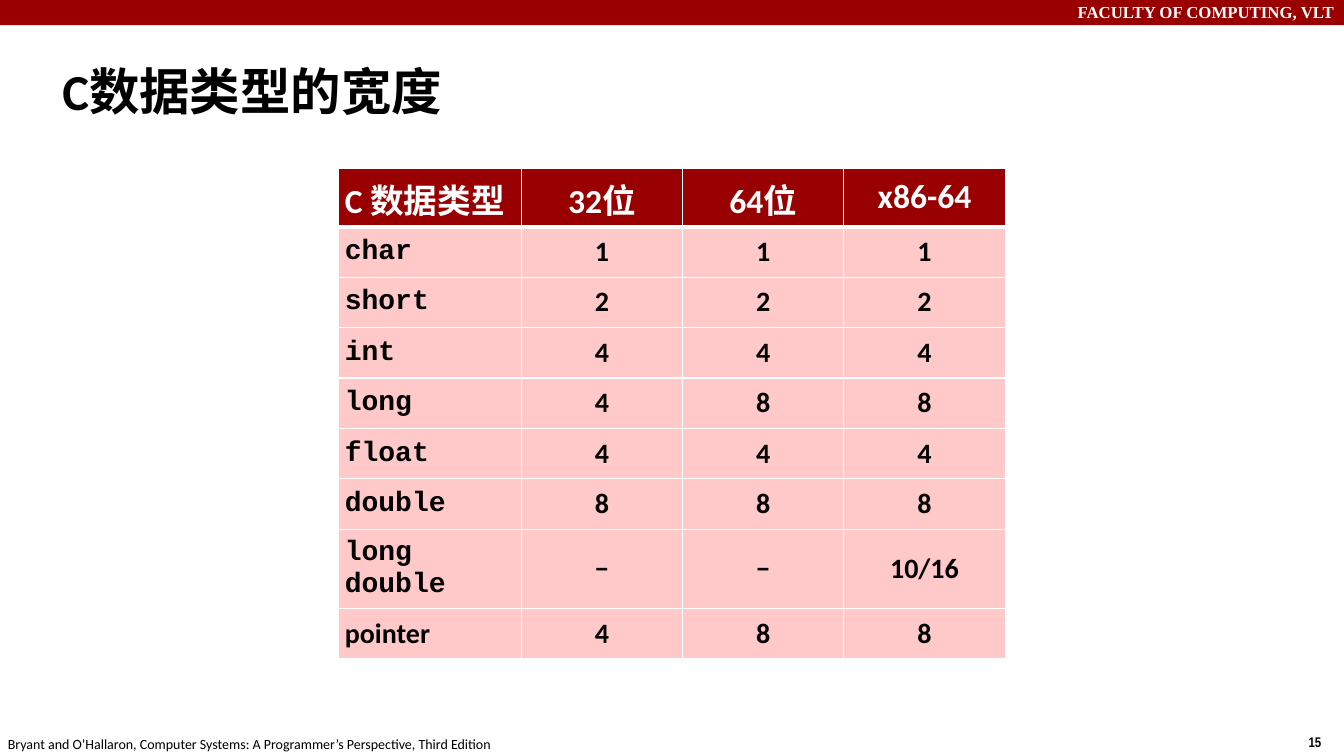
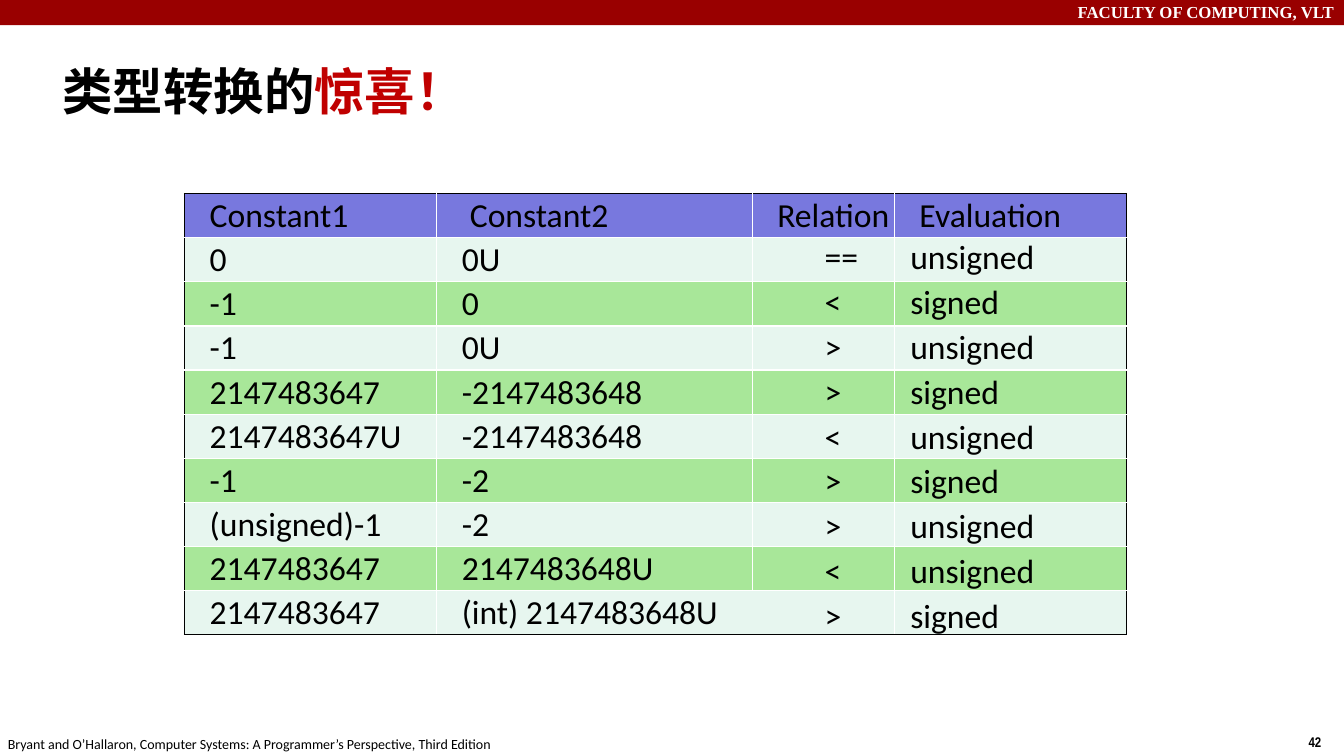
"""Builds two slides on C data type widths and type conversion surprises."""
from lxml import etree
from pptx import Presentation
from pptx.dml.color import RGBColor
from pptx.enum.shapes import MSO_SHAPE
from pptx.enum.text import MSO_ANCHOR, PP_ALIGN
from pptx.oxml.ns import qn
from pptx.util import Inches, Pt

RECTANGLE = MSO_SHAPE.RECTANGLE
MIDDLE = MSO_ANCHOR.MIDDLE
LEFT, CENTER, RIGHT = PP_ALIGN.LEFT, PP_ALIGN.CENTER, PP_ALIGN.RIGHT

WHITE = RGBColor(0xFF, 0xFF, 0xFF)
BLACK = RGBColor(0x00, 0x00, 0x00)
BAND_RED = RGBColor(0x99, 0x00, 0x00)
HEADER_RED = RGBColor(0x98, 0x00, 0x02)
PINK = RGBColor(0xFF, 0xC8, 0xC9)
ACCENT_RED = RGBColor(0xC0, 0x00, 0x00)
HEADER_BLUE = RGBColor(0x78, 0x78, 0xDE)
PALE_MINT = RGBColor(0xE7, 0xF6, 0xEF)
GREEN = RGBColor(0xA8, 0xE7, 0x99)

SLIDE_WIDTH, SLIDE_HEIGHT = Inches(13.33), Inches(7.5)
FACULTY = "FACULTY OF COMPUTING, VLT"
SOURCE = ("Bryant and O’Hallaron, Computer Systems: "
          "A Programmer’s Perspective, Third Edition")

FACULTY_FONT = {"name": "Times New Roman", "size": Pt(12), "bold": True}
NUMBER_FONT = {"name": "Arial Narrow", "size": Pt(10), "bold": True}
SOURCE_FONT = {"name": "Calibri", "size": Pt(10), "bold": False}
TITLE_FONT = {"name": "Calibri", "size": Pt(36), "bold": True}
WIDTH_HEADER_FONT = {"name": "Calibri", "size": Pt(24), "bold": True}
WIDTH_FONT = {"name": "Calibri", "size": Pt(20), "bold": True}
CODE_FONT = {"name": "Courier New", "size": Pt(20), "bold": True}
CONVERSION_FONT = {"name": "Calibri", "size": Pt(24), "bold": False}

WIDTH_TITLE = [("C数据类型的宽度", BLACK)]
WIDTH_ROWS = [
    ("C 数据类型", "32位", "64位", "x86-64"),
    ("char", "1", "1", "1"),
    ("short", "2", "2", "2"),
    ("int", "4", "4", "4"),
    ("long", "4", "8", "8"),
    ("float", "4", "4", "4"),
    ("double", "8", "8", "8"),
    ("long double", "−", "−", "10/16"),
    ("pointer", "4", "8", "8"),
]

CONVERSION_TITLE = [("类型转换的", BLACK), ("惊喜！", ACCENT_RED)]
CONVERSION_HEADER = ("Constant1", "Constant2", "Relation", "Evaluation")
CONVERSIONS = [
    ("0", "0U", "==", "unsigned"),
    ("-1", "0", "<", "signed"),
    ("-1", "0U", ">", "unsigned"),
    ("2147483647", "-2147483648", ">", "signed"),
    ("2147483647U", "-2147483648", "<", "unsigned"),
    ("-1", "-2", ">", "signed"),
    ("(unsigned)-1", "-2", ">", "unsigned"),
    ("2147483647", "2147483648U", "<", "unsigned"),
    ("2147483647", "(int) 2147483648U", ">", "signed"),
]


def apply_format(target, values):
    for name, value in values.items():
        setattr(target, name, value)


def add_run(paragraph, text, font, color):
    run = paragraph.add_run()
    run.text = text
    apply_format(run.font, font)
    run.font.color.rgb = color


def add_text(slide, box, runs, font, align=LEFT):
    shape = slide.shapes.add_textbox(*map(Inches, box))
    frame = shape.text_frame
    apply_format(frame, {"word_wrap": True, "vertical_anchor": MIDDLE})
    paragraph = frame.paragraphs[0]
    paragraph.alignment = align
    for text, color in runs:
        add_run(paragraph, text, font, color)


def add_base_slide(presentation, number, title):
    slide = presentation.slides.add_slide(presentation.slide_layouts[6])
    band = slide.shapes.add_shape(RECTANGLE, 0, 0, SLIDE_WIDTH, Inches(0.25))
    band.shadow.inherit = False
    band.fill.solid()
    band.fill.fore_color.rgb = BAND_RED
    band.line.fill.background()
    add_text(slide, (0, -0.03, 13.33, 0.3), [(FACULTY, WHITE)], FACULTY_FONT, RIGHT)
    add_text(slide, (12.88, 7.23, 0.45, 0.27), [(number, BLACK)], NUMBER_FONT)
    add_text(slide, (-0.02, 7.25, 5.5, 0.27), [(SOURCE, BLACK)], SOURCE_FONT)
    add_text(slide, (0.52, 0.48, 12.81, 0.83), title, TITLE_FONT)
    return slide


def add_grid(slide, left, top, column_widths, row_heights):
    shape = slide.shapes.add_table(
        len(row_heights), len(column_widths), Inches(left), Inches(top),
        Inches(sum(column_widths)), Inches(sum(row_heights)))
    table = shape.table
    for column, width in zip(table.columns, column_widths):
        column.width = Inches(width)
    for row, height in zip(table.rows, row_heights):
        row.height = Inches(height)
    return table


def set_borders(cell, borders):
    properties = cell._tc.get_or_add_tcPr()
    for position, side in enumerate("LRTB"):
        color, points = borders.get(side, (WHITE, 1))
        line = etree.Element(qn(f"a:ln{side}"), w=str(Pt(points)))
        fill = etree.SubElement(line, qn("a:solidFill"))
        etree.SubElement(fill, qn("a:srgbClr"), val=str(color))
        properties.insert(position, line)


def style_cell(cell, text, font, text_color, fill, margins, borders, align=LEFT):
    names = ("margin_left", "margin_top", "margin_right", "margin_bottom")
    apply_format(cell, dict(zip(names, map(Inches, margins))))
    cell.vertical_anchor = MIDDLE
    cell.fill.solid()
    cell.fill.fore_color.rgb = fill
    set_borders(cell, borders)
    paragraph = cell.text_frame.paragraphs[0]
    paragraph.alignment = align
    if text:
        add_run(paragraph, text, font, text_color)


def build_width_slide(presentation):
    slide = add_base_slide(presentation, "15", WIDTH_TITLE)
    heights = [0.58] + [0.5] * (len(WIDTH_ROWS) - 1)
    heights[7] = 0.74
    table = add_grid(slide, 3.36, 1.67, [1.81, 1.6, 1.6, 1.6], heights)
    for row, values in enumerate(WIDTH_ROWS):
        for column, text in enumerate(values):
            font, color, fill = WIDTH_FONT, BLACK, PINK
            if row == 0:
                font, color, fill = WIDTH_HEADER_FONT, WHITE, HEADER_RED
            elif column == 0 and text != "pointer":
                font = CODE_FONT
            borders = {0: {"B": (WHITE, 3)}, 1: {"T": (WHITE, 3)}}.get(row, {})
            style_cell(table.cell(row, column), text, font, color, fill,
                       [0.06] * 4, borders, CENTER if column else LEFT)


def add_relations(slide):
    shape = slide.shapes.add_textbox(*map(Inches, (8.08, 2.25, 2.75, 4.14)))
    frame = shape.text_frame
    frame.word_wrap = True
    for index, (_, _, relation, evaluation) in enumerate(CONVERSIONS):
        paragraph = frame.add_paragraph() if index else frame.paragraphs[0]
        paragraph.line_spacing = Pt(32)
        tabs = etree.SubElement(paragraph._p.get_or_add_pPr(), qn("a:tabLst"))
        etree.SubElement(tabs, qn("a:tab"), pos=str(Inches(0.85)), algn="l")
        add_run(paragraph, f"{relation}\t{evaluation}", CONVERSION_FONT, BLACK)


def build_conversion_slide(presentation):
    slide = add_base_slide(presentation, "42", CONVERSION_TITLE)
    rows = [CONVERSION_HEADER] + [(*pair[:2], "", "") for pair in CONVERSIONS]
    last_row, last_column = len(rows) - 1, len(CONVERSION_HEADER) - 1
    table = add_grid(slide, 1.83, 1.92, [2.5, 3.13, 1.41, 2.3],
                     [4.38 / len(rows)] * len(rows))
    for row, values in enumerate(rows):
        fill = HEADER_BLUE if row == 0 else PALE_MINT if row % 2 else GREEN
        for column, text in enumerate(values):
            edges = {"L": column == 0, "R": column == last_column,
                     "T": row == 0, "B": row == last_row}
            borders = {side: (BLACK, 1) for side, outer in edges.items() if outer}
            inset = 0.33 if text == "Constant2" else 0.25
            style_cell(table.cell(row, column), text, CONVERSION_FONT, BLACK, fill,
                       (inset, 0.01, 0.01, 0), borders)
    table.cell(last_row, 1).merge(table.cell(last_row, 2))
    add_relations(slide)


def main():
    presentation = Presentation()
    presentation.slide_width, presentation.slide_height = SLIDE_WIDTH, SLIDE_HEIGHT
    build_width_slide(presentation)
    build_conversion_slide(presentation)
    presentation.save("out.pptx")


if __name__ == "__main__":
    main()
